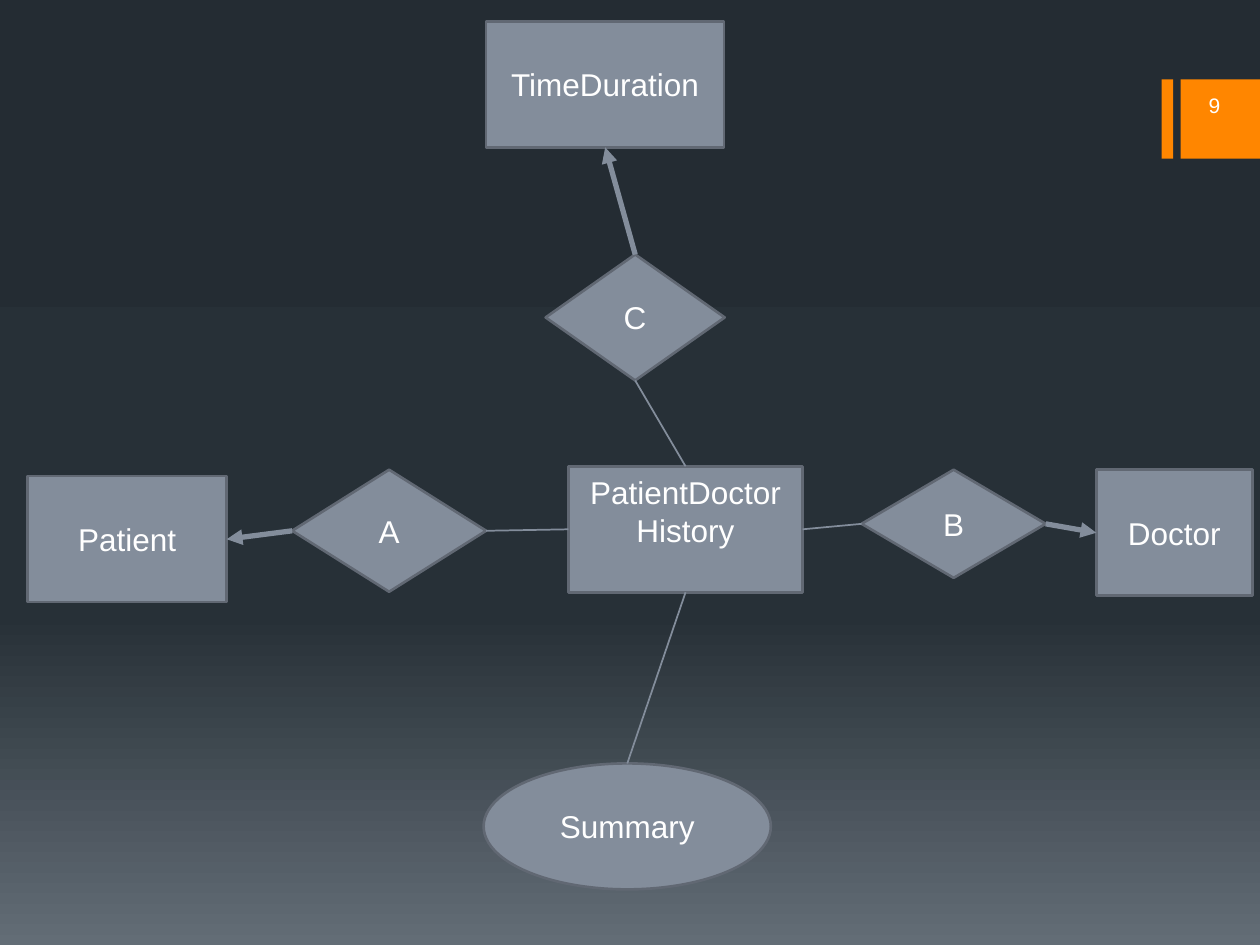
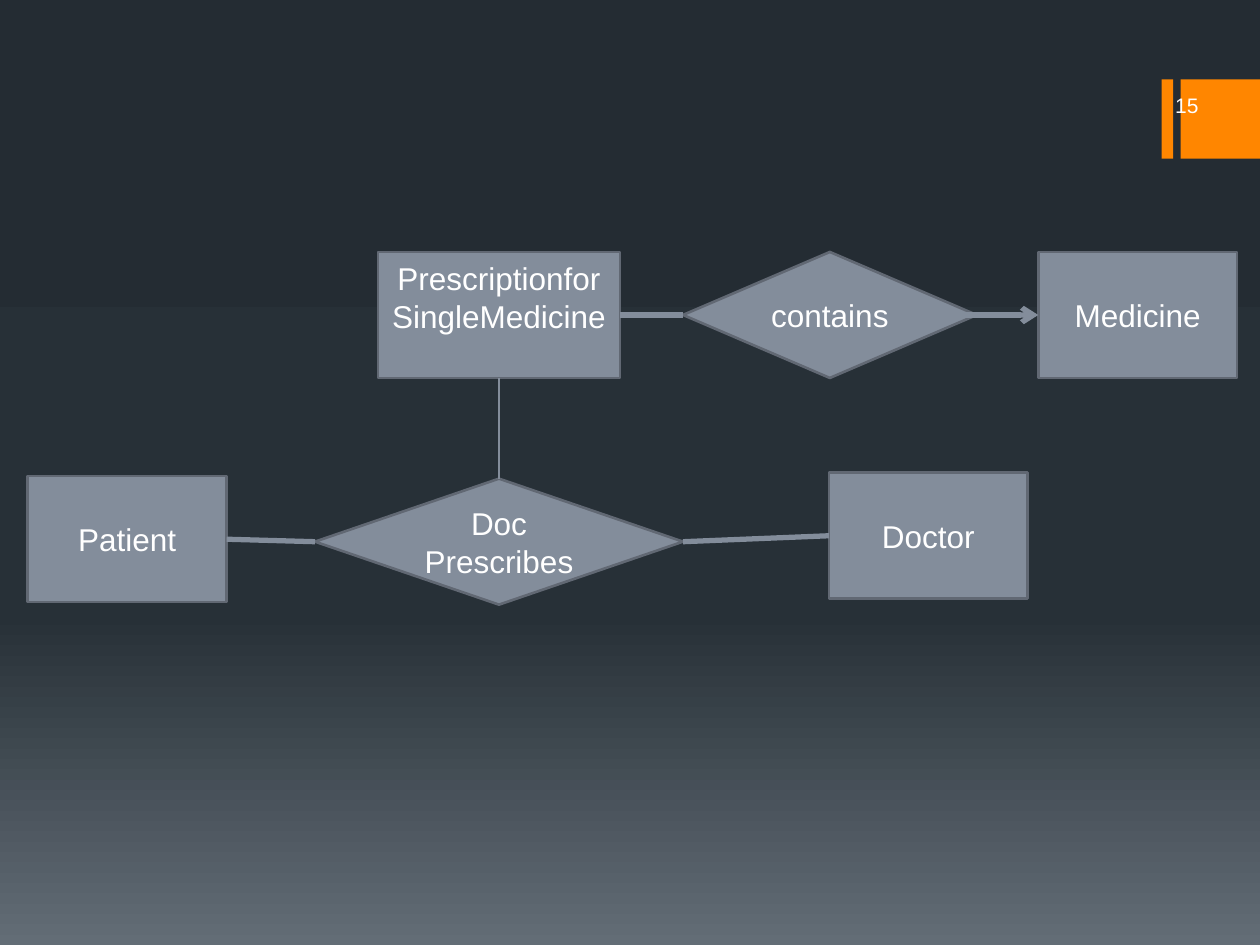
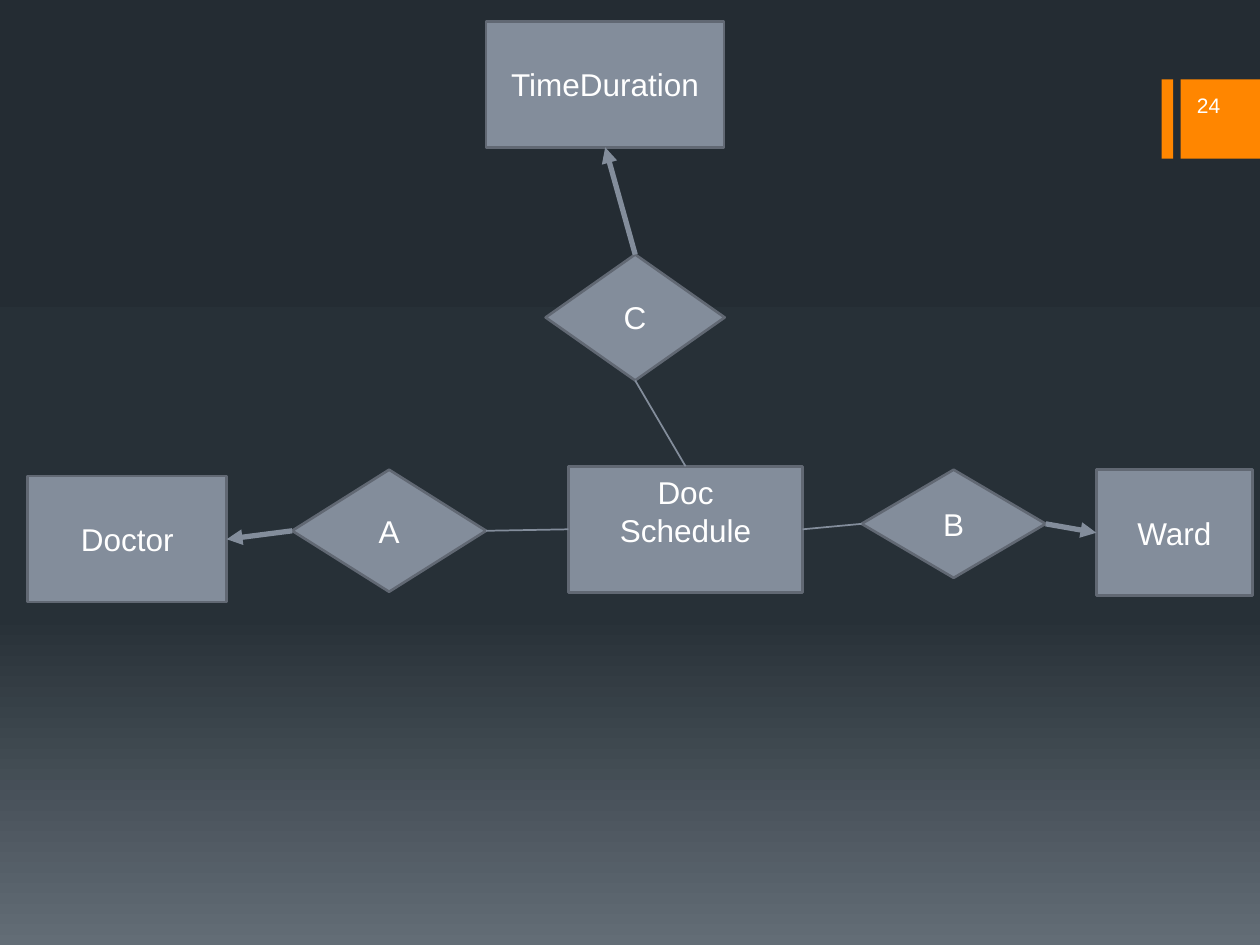
"""Build three entity-relationship slides of a hospital data model."""
from copy import deepcopy
from dataclasses import dataclass, field
from enum import IntEnum
from typing import Any

from lxml.etree import SubElement
from pptx import Presentation
from pptx.dml.color import RGBColor
from pptx.enum.shapes import MSO_CONNECTOR as Route, MSO_SHAPE as Form
from pptx.enum.text import MSO_ANCHOR as Anchor, PP_ALIGN as Align
from pptx.oxml.ns import qn
from pptx.util import Cm, Pt


@dataclass(frozen=True)
class Theme:
    """Hold the colours, type sizes and line widths of the deck."""

    font: str = "Arial"
    text: RGBColor = RGBColor.from_string("FFFFFF")
    node: RGBColor = RGBColor.from_string("838D9B")
    outline: RGBColor = RGBColor.from_string("616873")
    accent: RGBColor = RGBColor.from_string("FF8600")
    backdrop: tuple[tuple[float, str], ...] = (
        (0, "242C33"), (0.65, "273037"), (1, "636D76"))
    label_size: float = 18
    number_size: float = 12
    outline_width: float = 1.5
    thin: float = 1
    thick: float = 3


class Side(IntEnum):
    """Number the connection sites of a node."""

    TOP = 0
    LEFT = 1
    BOTTOM = 2
    RIGHT = 3


@dataclass(frozen=True)
class Box:
    """Give a place and a size in centimetres."""

    left: float
    top: float
    width: float
    height: float = 2.54

    def lengths(self) -> tuple[Cm, Cm, Cm, Cm]:
        """Return the four measures as lengths."""
        return Cm(self.left), Cm(self.top), Cm(self.width), Cm(self.height)


@dataclass(frozen=True)
class Node:
    """Describe an entity, a relationship or an attribute."""

    label: str
    box: Box
    form: Form = Form.RECTANGLE
    foot: float = 0.13


@dataclass(frozen=True)
class Link:
    """Describe a line between the sides of two nodes."""

    start: str
    start_side: Side
    end: str
    end_side: Side
    width: float
    arrow: str = ""
    overlap: float = 0


@dataclass(frozen=True)
class Diagram:
    """Collect what one slide shows."""

    number: str
    number_left: float
    nodes: dict[str, Node]
    links: list[Link] = field(default_factory=list)


THEME = Theme()
BANDS = (Box(23.42, 1.6, 0.23, 1.6), Box(23.8, 1.6, 1.6, 1.6))
RAISED_FOOT = 0.86


def apply(target: Any, values: dict[str, Any]) -> None:
    """Set each named attribute on the target."""
    for name, value in values.items():
        setattr(target, name, value)


def write(shape: Any, text: str, size: float, align: Align, foot: float = 0.13) -> None:
    """Write vertically centred text into a shape."""
    frame = shape.text_frame
    frame.text = text
    apply(frame, {"word_wrap": True, "vertical_anchor": Anchor.MIDDLE,
                  "margin_bottom": Cm(foot)})
    for paragraph in frame.paragraphs:
        paragraph.alignment = align
        apply(paragraph.font, {"name": THEME.font, "size": Pt(size)})
        paragraph.font.color.rgb = THEME.text


def draw_block(slide: Any, form: Form, box: Box, fill: RGBColor) -> Any:
    """Draw a flat filled shape without an outline."""
    block = slide.shapes.add_shape(form, *box.lengths())
    block.shadow.inherit = False
    block.fill.solid()
    block.fill.fore_color.rgb = fill
    block.line.fill.background()
    return block


def draw_node(slide: Any, node: Node) -> Any:
    """Draw one labelled node."""
    block = draw_block(slide, node.form, node.box, THEME.node)
    block.line.color.rgb = THEME.outline
    block.line.width = Pt(THEME.outline_width)
    write(block, node.label, THEME.label_size, Align.CENTER, node.foot)
    return block


def site(block: Any, side: Side) -> tuple[int, int]:
    """Return the middle of one side of a block."""
    across = {Side.LEFT: 0, Side.RIGHT: 2}.get(side, 1)
    down = {Side.TOP: 0, Side.BOTTOM: 2}.get(side, 1)
    return block.left + block.width * across // 2, block.top + block.height * down // 2


def draw_link(slide: Any, blocks: dict[str, Any], link: Link) -> None:
    """Draw one line between two blocks."""
    start, end = blocks[link.start], blocks[link.end]
    start_x, start_y = site(start, link.start_side)
    line = slide.shapes.add_connector(
        Route.STRAIGHT, start_x - Cm(link.overlap), start_y, *site(end, link.end_side))
    if not link.overlap:
        line.begin_connect(start, link.start_side)
    line.end_connect(end, link.end_side)
    line.line.color.rgb = THEME.node
    line.line.width = Pt(link.width)
    if link.arrow:
        SubElement(line.line._get_or_add_ln(), qn("a:tailEnd"), type=link.arrow)
    SubElement(line._element.spPr, qn("a:effectLst"))


def draw_diagram(slide: Any, diagram: Diagram) -> None:
    """Draw the nodes, the links and the page number."""
    blocks = {key: draw_node(slide, node) for key, node in diagram.nodes.items()}
    for link in diagram.links:
        draw_link(slide, blocks, link)
    place = Box(diagram.number_left, 1.7, 2.62, 0.84)
    number = slide.shapes.add_textbox(*place.lengths())
    write(number, diagram.number, THEME.number_size, Align.RIGHT)


def style_master(master: Any, slide: Any) -> None:
    """Give the master its gradient and its accent bands."""
    fill = master.background.fill
    fill.gradient()
    fill.gradient_angle = 270
    first = fill.gradient_stops[0]._gs
    first.addnext(deepcopy(first))
    for stop, (position, colour) in zip(fill.gradient_stops, THEME.backdrop):
        stop.position = position
        stop.color.rgb = RGBColor.from_string(colour)
    for box in BANDS:
        band = draw_block(slide, Form.RECTANGLE, box, THEME.accent)
        master.shapes._spTree.append(band._element)


def star(number: str, left: str, hub: str, right: str, attribute: str = "") -> Diagram:
    """Arrange a hub with three relationships and their entities."""
    nodes = {
        "left": Node(left, Box(0.56, 9.6, 4.01)),
        "right": Node(right, Box(22.1, 9.47, 3.15)),
        "time": Node("TimeDuration", Box(9.8, 0.43, 4.8)),
        "hub": Node(hub, Box(11.46, 9.4, 4.72), foot=RAISED_FOOT),
        "A": Node("A", Box(5.89, 9.47, 3.91, 2.46), Form.DIAMOND),
        "B": Node("B", Box(17.37, 9.47, 3.71, 2.18), Form.DIAMOND),
        "C": Node("C", Box(11, 5.13, 3.61), Form.DIAMOND),
    }
    links = [
        Link("A", Side.LEFT, "left", Side.RIGHT, THEME.thick, "triangle"),
        Link("B", Side.RIGHT, "right", Side.LEFT, THEME.thick, "triangle"),
        Link("C", Side.TOP, "time", Side.BOTTOM, THEME.thick, "triangle"),
        Link("hub", Side.LEFT, "A", Side.RIGHT, THEME.thin),
        Link("B", Side.LEFT, "hub", Side.RIGHT, THEME.thin),
        Link("hub", Side.TOP, "C", Side.BOTTOM, THEME.thin),
    ]
    if attribute:
        nodes["attribute"] = Node(attribute, Box(9.75, 15.39, 5.79), Form.OVAL)
        links.append(Link("attribute", Side.TOP, "hub", Side.BOTTOM, THEME.thin))
    return Diagram(number, 22.23, nodes, links)


def prescription() -> Diagram:
    """Arrange the prescription with its two relationships."""
    nodes = {
        "patient": Node("Patient", Box(0.56, 9.6, 4.01)),
        "doctor": Node("Doctor", Box(16.71, 9.53, 4.01)),
        "prescribes": Node("Doc\nPrescribes", Box(6.35, 9.65, 7.42), Form.DIAMOND),
        "prescription": Node("PrescriptionforSingleMedicine",
                             Box(7.62, 5.08, 4.88), foot=RAISED_FOOT),
        "contains": Node("contains", Box(13.77, 5.08, 5.92), Form.DIAMOND),
        "medicine": Node("Medicine", Box(20.93, 5.08, 4.01)),
    }
    links = [
        Link("prescribes", Side.LEFT, "patient", Side.RIGHT, THEME.thick),
        Link("prescribes", Side.RIGHT, "doctor", Side.LEFT, THEME.thick),
        Link("prescription", Side.BOTTOM, "prescribes", Side.TOP, THEME.thin),
        Link("prescription", Side.RIGHT, "contains", Side.LEFT, THEME.thick),
        Link("contains", Side.RIGHT, "medicine", Side.LEFT, THEME.thick, "arrow", 0.48),
    ]
    return Diagram("15", 21.79, nodes, links)


def main() -> None:
    """Build and save the deck."""
    deck = Presentation()
    apply(deck, {"slide_width": Cm(25.4), "slide_height": Cm(19.05)})
    diagrams = (
        star("9", "Patient", "PatientDoctor\nHistory", "Doctor", "Summary"),
        prescription(),
        star("24", "Doctor", "Doc\nSchedule", "Ward"),
    )
    slides = [deck.slides.add_slide(deck.slide_layouts[6]) for _ in diagrams]
    style_master(deck.slide_master, slides[0])
    for slide, diagram in zip(slides, diagrams):
        draw_diagram(slide, diagram)
    deck.save("out.pptx")


main()
